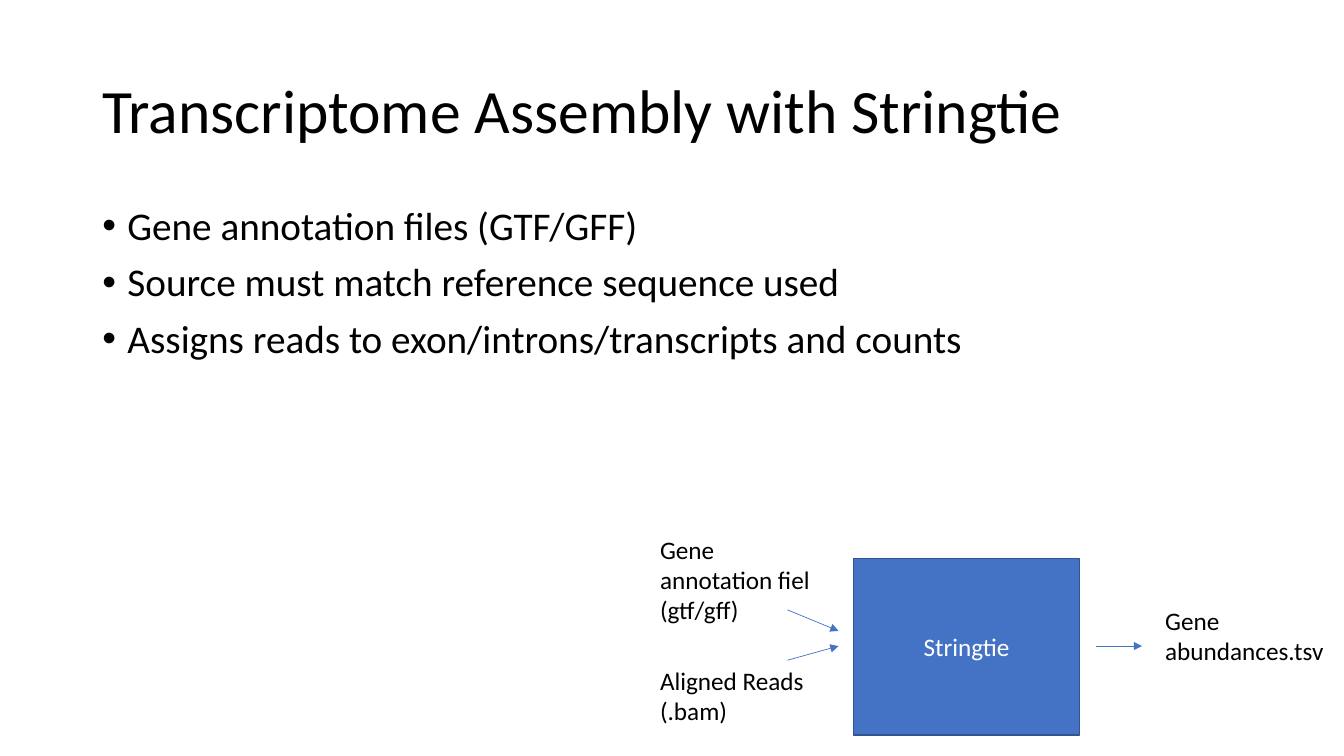
import pptx
import pptx.util
import pptx.dml.color
import pptx.enum.shapes
import pptx.enum.text
import pptx.oxml.ns
from lxml import etree

Pt = pptx.util.Pt
ALIGN = pptx.enum.text.PP_ALIGN
ANCHOR = pptx.enum.text.MSO_ANCHOR
BLUE, EDGE, BLACK, WHITE = "4472C4", "325491", "000000", "FFFFFF"


def rgb(value):
    return pptx.dml.color.RGBColor.from_string(value)


def add_xml(parent, tag, **attrs):
    return etree.SubElement(parent, pptx.oxml.ns.qn(tag), **attrs)


def style(p, size, color=BLACK, align=ALIGN.LEFT):
    p.alignment = align
    for r in p.runs:
        r.font.name = "Calibri"
        r.font.size = Pt(size)
        r.font.color.rgb = rgb(color)


def add_title(s, box, text):
    sp = s.shapes.title
    sp.left, sp.top, sp.width, sp.height = map(Pt, box)
    tf = sp.text_frame
    tf.text = text
    tf.word_wrap = True
    tf.auto_size = pptx.enum.text.MSO_AUTO_SIZE.NONE
    tf.vertical_anchor = ANCHOR.MIDDLE
    p = tf.paragraphs[0]
    p.line_spacing = 0.9
    style(p, 44)


def add_bullets(s, box, items):
    tf = s.shapes.add_textbox(*map(Pt, box)).text_frame
    tf.word_wrap = True
    tf.text = "\n".join(items)
    for i, p in enumerate(tf.paragraphs):
        pPr = p._p.get_or_add_pPr()
        pPr.set("marL", str(Pt(18)))
        pPr.set("indent", str(Pt(-18)))
        add_xml(pPr, "a:buFont", typeface="Arial")
        add_xml(pPr, "a:buChar", char="•")
        p.line_spacing = 0.9
        p.space_before = Pt(10 if i else 0)
        style(p, 28)


def add_label(s, box, text):
    tf = s.shapes.add_textbox(*map(Pt, box)).text_frame
    tf.word_wrap = True
    tf.text = text
    style(tf.paragraphs[0], 18)


def add_arrow(s, x1, y1, x2, y2):
    line = s.shapes.add_connector(
        pptx.enum.shapes.MSO_CONNECTOR.STRAIGHT, Pt(x1), Pt(y1), Pt(x2), Pt(y2))
    line.line.color.rgb = rgb(BLUE)
    line.line.width = Pt(0.5)
    add_xml(line.line._get_or_add_ln(), "a:tailEnd", type="triangle")
    add_xml(line._element.spPr, "a:effectLst")


def add_process(s, box, text):
    sp = s.shapes.add_shape(pptx.enum.shapes.MSO_SHAPE.RECTANGLE, *map(Pt, box))
    sp.shadow.inherit = False
    sp.fill.solid()
    sp.fill.fore_color.rgb = rgb(BLUE)
    sp.line.color.rgb = rgb(EDGE)
    sp.line.width = Pt(1)
    tf = sp.text_frame
    tf.text = text
    tf.vertical_anchor = ANCHOR.MIDDLE
    style(tf.paragraphs[0], 18, WHITE, ALIGN.CENTER)


def add_workflow(s, box):
    x, y, w, h = box
    input_w, output_w = 126.7, 134.6
    add_process(s, (x + 145.4, y + 21, 161.3, h - 21), "Stringtie")
    add_label(s, (x, y, input_w, 72.7), "Gene annotation fiel (gtf/gff)")
    add_label(s, (x, y + 93.8, input_w, 51), "Aligned Reads (.bam)")
    add_label(s, (x + w - output_w, y + 50.5, output_w, 51), "Gene abundances.tsv")
    for x1, y1, x2, y2 in ((98, 57.6, 134.6, 72.7), (98, 93.6, 134.6, 83.5),
                           (318.2, 83.5, 351.4, 83.5)):
        add_arrow(s, x + x1, y + y1, x + x2, y + y2)


def main():
    prs = pptx.Presentation()
    prs.slide_width, prs.slide_height = Pt(960), Pt(540)
    s = prs.slides.add_slide(prs.slide_layouts[5])
    add_title(s, (66, 28.8, 828, 104.4), "Transcriptome Assembly with Stringtie")
    add_bullets(s, (66, 144, 828, 342.7), (
        "Gene annotation files (GTF/GFF)",
        "Source must match reference sequence used",
        "Assigns reads to exon/introns/transcripts and counts"))
    add_workflow(s, (464.4, 378, 495.4, 147))
    prs.save("out.pptx")


if __name__ == "__main__":
    main()
